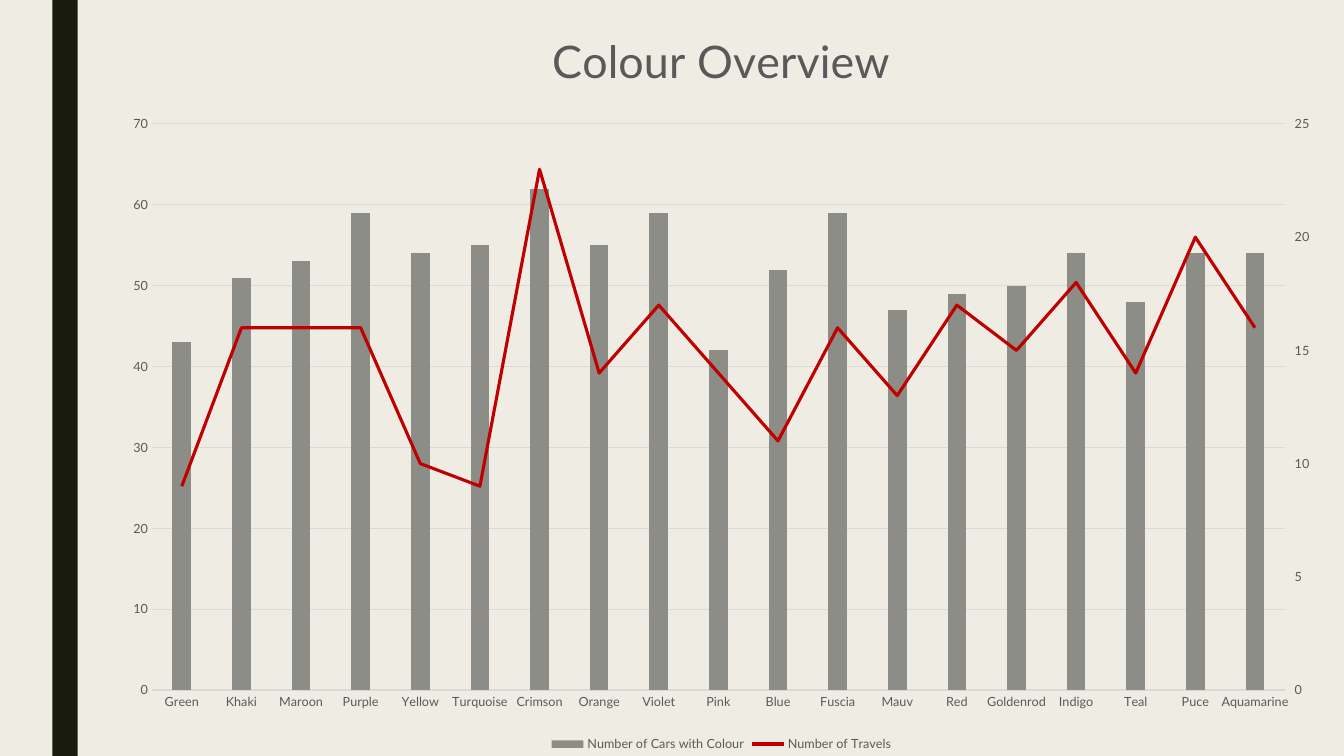
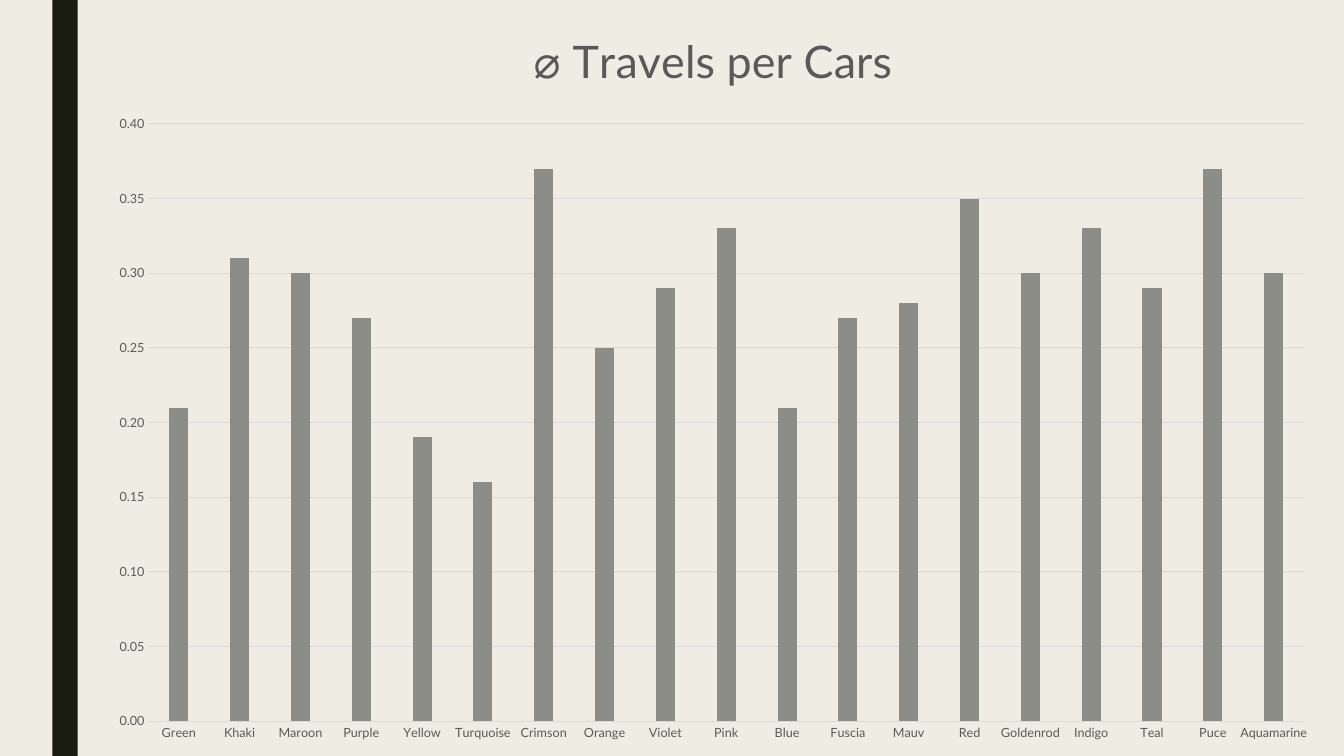
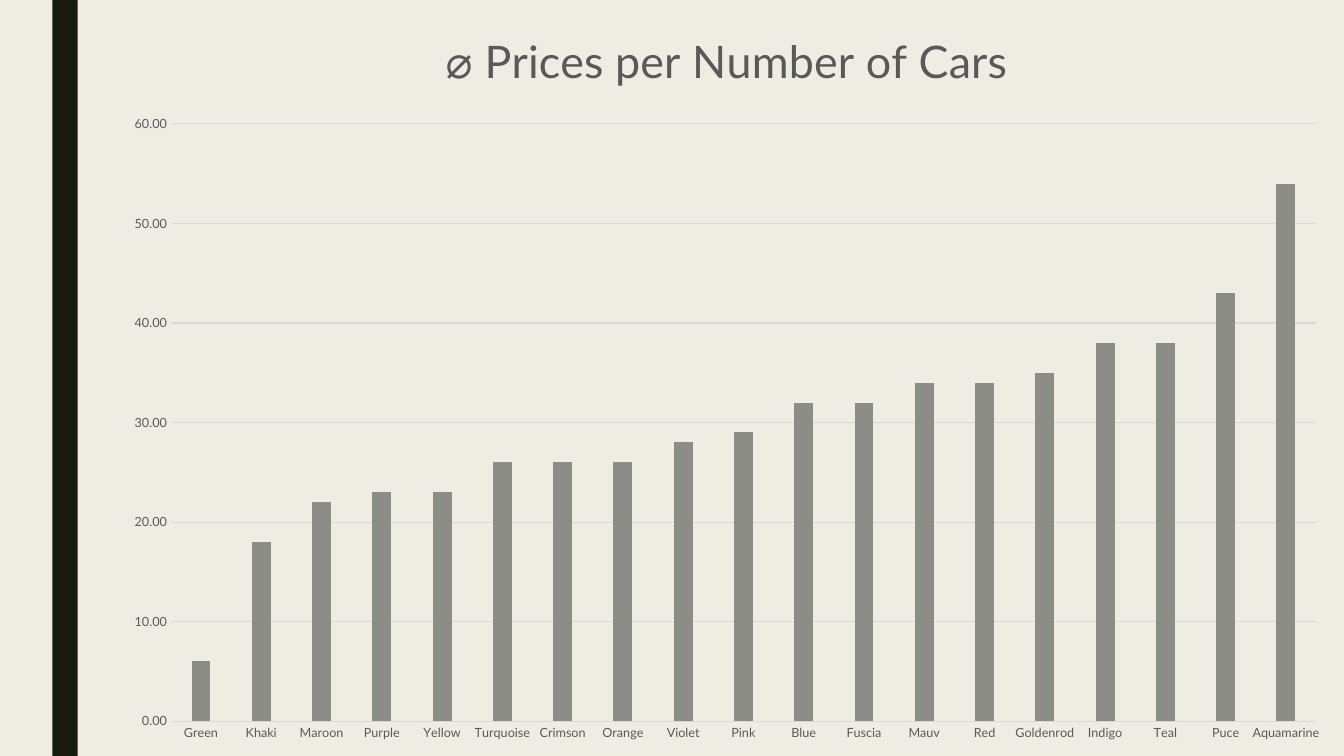
from copy import deepcopy
from dataclasses import dataclass
from typing import Any, Optional

from pptx import Presentation
from pptx.chart.axis import CategoryAxis, ValueAxis
from pptx.chart.chart import Chart
from pptx.chart.data import CategoryChartData
from pptx.dml.color import RGBColor
from pptx.enum.chart import XL_CHART_TYPE, XL_LEGEND_POSITION, XL_MARKER_STYLE, XL_TICK_MARK
from pptx.enum.shapes import MSO_SHAPE
from pptx.oxml import parse_xml
from pptx.oxml.ns import nsdecls
from pptx.slide import Slide
from pptx.text.text import Font
from pptx.util import Inches, Length, Pt

RECTANGLE = MSO_SHAPE.RECTANGLE
COLUMNS = XL_CHART_TYPE.COLUMN_CLUSTERED
LEGEND_BOTTOM = XL_LEGEND_POSITION.BOTTOM
NO_TICKS = XL_TICK_MARK.NONE
NO_MARKER = XL_MARKER_STYLE.NONE

CREAM = RGBColor(0xEF, 0xED, 0xE3)
BAND_DARK = RGBColor(0x19, 0x1B, 0x0E)
TEXT_GREY = RGBColor(0x59, 0x59, 0x59)
RULE_GREY = RGBColor(0xD9, 0xD9, 0xD9)
BAR_GREY = RGBColor(0x8C, 0x8D, 0x86)
LINE_RED = RGBColor(0xC0, 0x00, 0x00)

SLIDE_WIDTH, SLIDE_HEIGHT = Inches(13.33), Inches(7.5)
BLANK_LAYOUT = 6
SECONDARY_IDS = {"c:catAx": "50010", "c:valAx": "50020"}

LABEL_FORMAT = {"name": "Lato", "size": Pt(9), "bold": False}
TITLE_FORMAT = {"name": "Lato", "size": Pt(32), "bold": False}
BAR_FORMAT = {"gap_width": 219, "overlap": -27, "vary_by_categories": False}
AXIS_FORMAT = {"major_tick_mark": NO_TICKS, "minor_tick_mark": NO_TICKS}

COLOURS = (
    "Green", "Khaki", "Maroon", "Purple", "Yellow", "Turquoise", "Crimson",
    "Orange", "Violet", "Pink", "Blue", "Fuscia", "Mauv", "Red", "Goldenrod",
    "Indigo", "Teal", "Puce", "Aquamarine",
)


@dataclass(frozen=True)
class Series:
    """A named row of values, one per colour."""

    name: str
    values: tuple[float, ...]


@dataclass(frozen=True)
class ChartSlide:
    """One chart slide; left and width are percentages of the slide width."""

    title: str
    left: float
    width: float
    number_format: str
    bars: Series
    line: Optional[Series] = None


TRAVELS_TITLE = "⌀ Travels per Cars"
PRICES_TITLE = "⌀ Prices per Number of Cars"

CHART_SLIDES = (
    ChartSlide(
        "Colour Overview", 8.1, 91.15, "General",
        Series("Number of Cars with Colour", (
            43, 51, 53, 59, 54, 55, 62, 55, 59, 42, 52, 59, 47, 49, 50, 54, 48, 54, 54)),
        Series("Number of Travels", (
            9, 16, 16, 16, 10, 9, 23, 14, 17, 14, 11, 16, 13, 17, 15, 18, 14, 20, 16)),
    ),
    ChartSlide(
        TRAVELS_TITLE, 7.05, 92.05, "0.00",
        Series(TRAVELS_TITLE, (
            0.21, 0.31, 0.3, 0.27, 0.19, 0.16, 0.37, 0.25, 0.29, 0.33,
            0.21, 0.27, 0.28, 0.35, 0.3, 0.33, 0.29, 0.37, 0.3)),
    ),
    ChartSlide(
        PRICES_TITLE, 8.18, 91.82, "0.00",
        Series(PRICES_TITLE, (
            6, 18, 22, 23, 23, 26, 26, 26, 28, 29, 32, 32, 34, 34, 35, 38, 38, 43, 54)),
    ),
)


def across(percent: float) -> Length:
    """Return a percentage of the slide width as a length."""
    return Length(round(SLIDE_WIDTH * percent / 100))


def apply_format(target: Any, values: dict[str, Any]) -> None:
    """Set each named attribute on the target."""
    for name, value in values.items():
        setattr(target, name, value)


def style_font(font: Font, values: dict[str, Any]) -> None:
    """Give a font its format and the shared text colour."""
    apply_format(font, values)
    font.color.rgb = TEXT_GREY


def draw_band(slide: Slide) -> None:
    """Draw the dark vertical band at the left."""
    band = slide.shapes.add_shape(RECTANGLE, across(3.9), 0, across(1.88), SLIDE_HEIGHT)
    band.shadow.inherit = False
    band.fill.solid()
    band.fill.fore_color.rgb = BAND_DARK
    band.line.fill.background()


def style_title(chart: Chart, title: str) -> None:
    """Write the chart title in the shared style."""
    chart.has_title = True
    chart.chart_title.include_in_layout = False
    paragraph = chart.chart_title.text_frame.paragraphs[0]
    run = paragraph.add_run()
    run.text = title
    style_font(run.font, TITLE_FORMAT)


def style_axes(category_axis: CategoryAxis, value_axis: ValueAxis, number_format: str) -> None:
    """Style both axes and the horizontal gridlines."""
    for axis in (category_axis, value_axis):
        apply_format(axis, AXIS_FORMAT)
        style_font(axis.tick_labels.font, LABEL_FORMAT)
    value_axis.has_major_gridlines = True
    for line in (category_axis.format.line, value_axis.major_gridlines.format.line):
        line.color.rgb = RULE_GREY
        line.width = Pt(0.75)
    value_axis.format.line.fill.background()
    value_axis.tick_labels.number_format = number_format
    value_axis.tick_labels.number_format_is_linked = False


def move_last_series_to_line(chart: Chart) -> None:
    """Move the last bar series to a line plot on a right-hand axis."""
    plot_area = chart.element.xpath("c:chart/c:plotArea")[0]
    bar_chart = plot_area.xpath("c:barChart")[0]
    series = bar_chart.xpath("c:ser")[-1]
    for invert in series.xpath("c:invertIfNegative"):
        series.remove(invert)
    line_chart = parse_xml(
        f'<c:lineChart {nsdecls("c")}><c:grouping val="standard"/><c:varyColors val="0"/>'
        f'<c:marker val="1"/><c:axId val="{SECONDARY_IDS["c:catAx"]}"/>'
        f'<c:axId val="{SECONDARY_IDS["c:valAx"]}"/></c:lineChart>'
    )
    line_chart.insert(2, series)
    bar_chart.addnext(line_chart)

    category_axis, value_axis = (deepcopy(plot_area.xpath(tag)[0]) for tag in SECONDARY_IDS)
    category_id, value_id = SECONDARY_IDS.values()
    for gridlines in value_axis.xpath("c:majorGridlines"):
        value_axis.remove(gridlines)
    settings = (
        (category_axis, {"axId": category_id, "crossAx": value_id, "delete": "1"}),
        (value_axis, {"axId": value_id, "crossAx": category_id, "axPos": "r",
                      "crosses": "max", "majorTickMark": "out"}),
    )
    previous = plot_area.xpath("c:valAx")[0]
    for axis, values in settings:
        for tag, value in values.items():
            for child in axis.xpath(f"c:{tag}"):
                child.set("val", value)
        previous.addnext(axis)
        previous = axis


def style_line(chart: Chart) -> None:
    """Style the line series and add the legend."""
    series = chart.plots[1].series[0]
    series.format.line.color.rgb = LINE_RED
    series.format.line.width = Pt(2.25)
    series.marker.style = NO_MARKER
    series.smooth = False
    chart.has_legend = True
    apply_format(chart.legend, {"position": LEGEND_BOTTOM, "include_in_layout": False})
    style_font(chart.legend.font, LABEL_FORMAT)


def draw_chart(slide: Slide, content: ChartSlide) -> None:
    """Draw the chart that fills the slide beside the band."""
    data = CategoryChartData()
    data.categories = COLOURS
    for series in (content.bars, content.line):
        if series:
            data.add_series(series.name, series.values)
    frame = slide.shapes.add_chart(
        COLUMNS, across(content.left), 0, across(content.width), SLIDE_HEIGHT, data)
    chart = frame.chart
    chart.has_legend = False
    apply_format(chart.font, {"name": "Lato", "size": Pt(10)})
    style_title(chart, content.title)
    style_axes(chart.category_axis, chart.value_axis, content.number_format)
    plot = chart.plots[0]
    apply_format(plot, BAR_FORMAT)
    bar_fill = plot.series[0].format.fill
    bar_fill.solid()
    bar_fill.fore_color.rgb = BAR_GREY
    if content.line:
        move_last_series_to_line(chart)
        style_line(chart)


def main() -> None:
    """Build and save the presentation."""
    presentation = Presentation()
    apply_format(presentation, {"slide_width": SLIDE_WIDTH, "slide_height": SLIDE_HEIGHT})
    background = presentation.slide_master.background.fill
    background.solid()
    background.fore_color.rgb = CREAM
    for content in CHART_SLIDES:
        slide = presentation.slides.add_slide(presentation.slide_layouts[BLANK_LAYOUT])
        draw_band(slide)
        draw_chart(slide, content)
    presentation.save("out.pptx")


if __name__ == "__main__":
    main()
